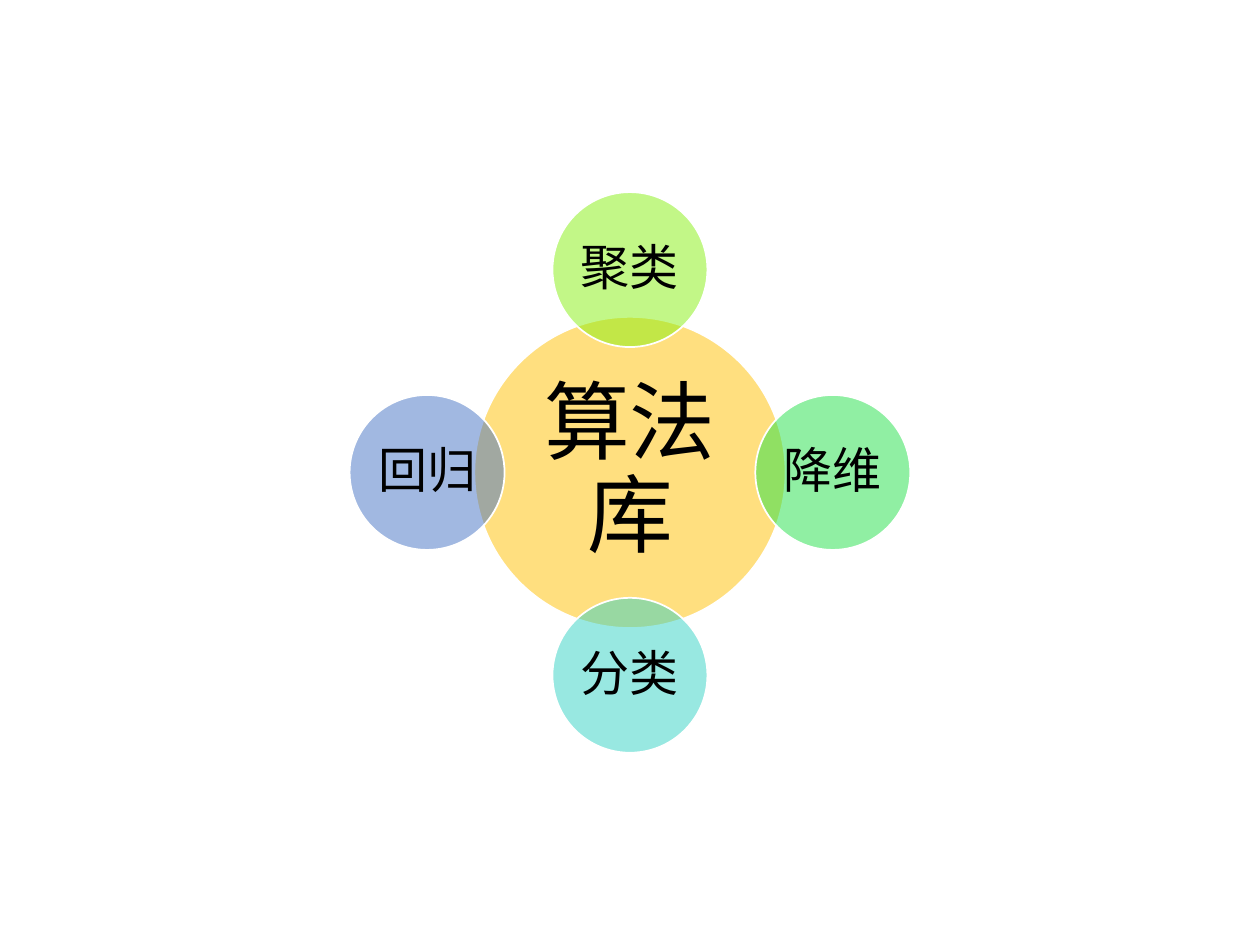
from math import cos, radians, sin

from lxml.etree import SubElement
from pptx import Presentation
from pptx.dml.color import RGBColor
from pptx.enum.shapes import MSO_SHAPE
from pptx.enum.text import MSO_ANCHOR, PP_ALIGN
from pptx.oxml.ns import qn
from pptx.util import Inches, Pt

HUB = ("算法库", "FFC000")
SATELLITES = [
    ("聚类", "86F011"),
    ("降维", "23E148"),
    ("分类", "33D2C5"),
    ("回归", "4472C4"),
]
HUB_FORMAT = {"diameter": 2.47, "size": 49, "inset": 0.07}
SATELLITE_FORMAT = {"diameter": 1.23, "size": 28, "inset": 0.04}
CENTER_X, CENTER_Y = 5, 3.75
ORBIT = 1.61


def color(value):
    return RGBColor.from_string(value)


def add_circle(group, label, fill, x, y, diameter, size, inset):
    circle = group.shapes.add_shape(
        MSO_SHAPE.OVAL,
        Inches(x - diameter / 2), Inches(y - diameter / 2),
        Inches(diameter), Inches(diameter),
    )
    circle.shadow.inherit = False
    circle.fill.solid()
    circle.fill.fore_color.rgb = color(fill)
    fill_color = circle.fill._xPr.find(qn("a:solidFill"))[0]
    SubElement(fill_color, qn("a:alpha"), val="50000")
    circle.line.color.rgb = color("FFFFFF")
    circle.line.width = Pt(1)

    frame = circle.text_frame
    frame.word_wrap = True
    frame.vertical_anchor = MSO_ANCHOR.MIDDLE
    for side in ("left", "top", "right", "bottom"):
        setattr(frame, f"margin_{side}", Inches(inset))

    para = frame.paragraphs[0]
    paragraph_format = {
        "alignment": PP_ALIGN.CENTER,
        "line_spacing": 0.9,
        "space_after": Pt(round(size * 0.35)),
    }
    for name, value in paragraph_format.items():
        setattr(para, name, value)
    span = para.add_run()
    span.text = label
    for name, value in {"name": "Calibri", "size": Pt(size)}.items():
        setattr(span.font, name, value)
    span.font.color.rgb = color("000000")


def main():
    deck = Presentation()
    deck.slide_width, deck.slide_height = Inches(10), Inches(7.5)
    page = deck.slides.add_slide(deck.slide_layouts[6])
    diagram = page.shapes.add_group_shape()
    add_circle(diagram, *HUB, CENTER_X, CENTER_Y, **HUB_FORMAT)
    for index, satellite in enumerate(SATELLITES):
        angle = radians(index * 360 / len(SATELLITES) - 90)
        x = CENTER_X + ORBIT * cos(angle)
        y = CENTER_Y + ORBIT * sin(angle)
        add_circle(diagram, *satellite, x, y, **SATELLITE_FORMAT)
    deck.save("out.pptx")


if __name__ == "__main__":
    main()
